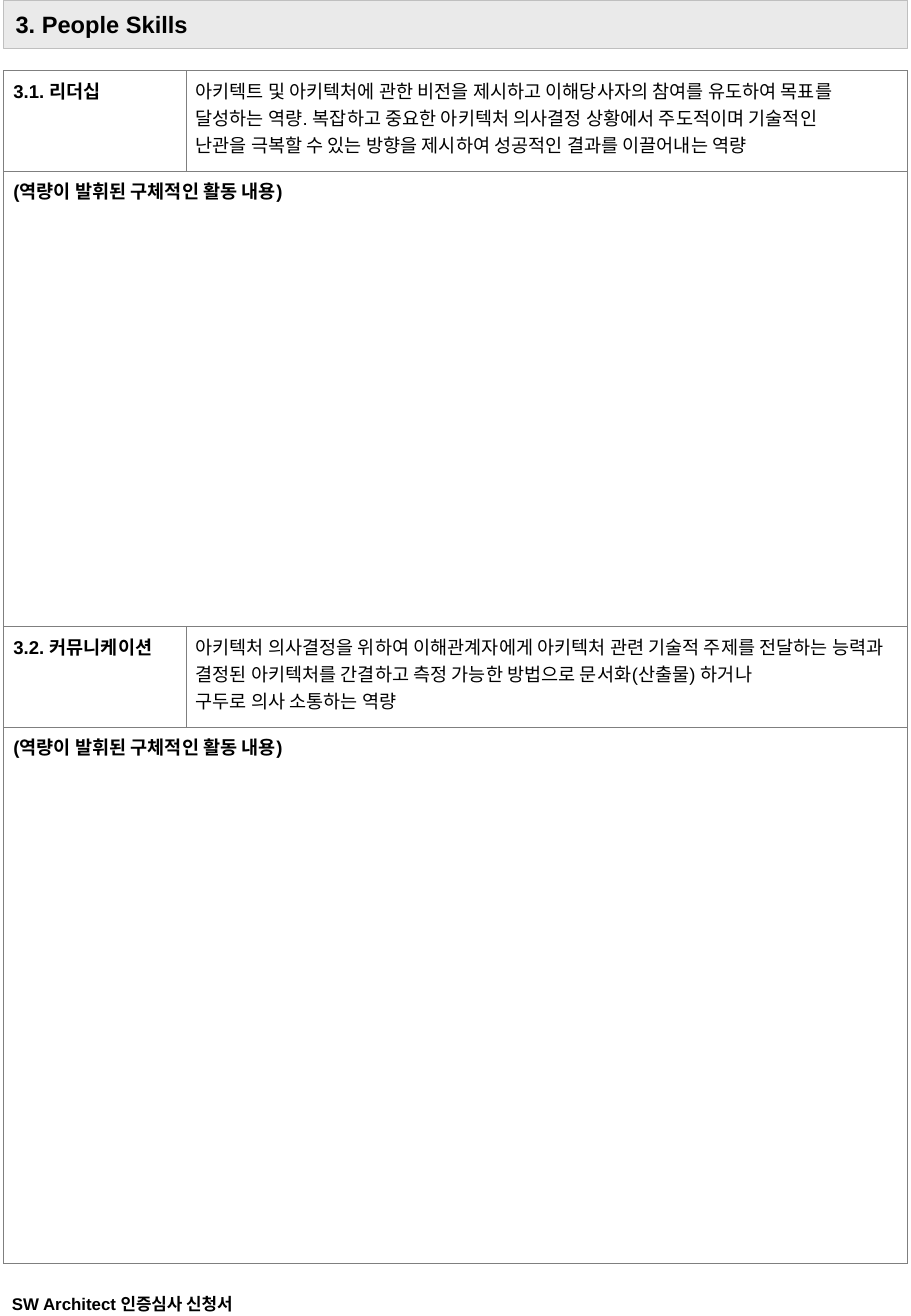
import pptx
import pptx.util
import pptx.dml.color
import pptx.enum.shapes
import pptx.enum.text
import pptx.oxml.ns
import lxml.etree

Inches = pptx.util.Inches
Pt = pptx.util.Pt
RGBColor = pptx.dml.color.RGBColor

BLACK = RGBColor(0x00, 0x00, 0x00)
PALE = RGBColor(0xEA, 0xEA, 0xEA)
SILVER = RGBColor(0xBF, 0xBF, 0xBF)
GRAY = RGBColor(0x7F, 0x7F, 0x7F)

FONT = "Arial"
LEFT, WIDTH = 0.03, 7.44
COLS = [1.5, 5.94]
ROWS = [0.83, 3.75, 0.83, 4.42]
PROMPT = "(역량이 발휘된 구체적인 활동 내용)"
SKILLS = [
    ("3.1. 리더십",
     "아키텍트 및 아키텍처에 관한 비전을 제시하고 이해당사자의 참여를 유도하여 목표를 "
     "달성하는 역량. 복잡하고 중요한 아키텍처 의사결정 상황에서 주도적이며 기술적인 \n"
     "난관을 극복할 수 있는 방향을 제시하여 성공적인 결과를 이끌어내는 역량"),
    ("3.2. 커뮤니케이션",
     "아키텍처 의사결정을 위하여 이해관계자에게 아키텍처 관련 기술적 주제를 전달하는 능력과 "
     "결정된 아키텍처를 간결하고 측정 가능한 방법으로 문서화(산출물) 하거나 \n"
     "구두로 의사 소통하는 역량"),
]


def write(frame, text, size, bold=True):
    frame.word_wrap = True
    par = frame.paragraphs[0]
    par.text = text
    par.alignment = pptx.enum.text.PP_ALIGN.LEFT
    par.font.name = FONT
    par.font.size = Pt(size)
    par.font.bold = bold
    par.font.color.rgb = BLACK
    return par


def add_title(slide, text):
    bar = slide.shapes.add_shape(
        pptx.enum.shapes.MSO_SHAPE.RECTANGLE,
        Inches(LEFT), Inches(0), Inches(WIDTH), Inches(0.4))
    bar.shadow.inherit = False
    bar.fill.solid()
    bar.fill.fore_color.rgb = PALE
    bar.line.color.rgb = SILVER
    bar.line.width = Pt(0.75)
    bar.text_frame.vertical_anchor = pptx.enum.text.MSO_ANCHOR.MIDDLE
    write(bar.text_frame, text, 14)


def add_footer(slide, text):
    box = slide.shapes.add_textbox(
        Inches(0), Inches(10.61), Inches(2.38), Inches(0.22))
    write(box.text_frame, text, 10)


def style_cell(cell):
    cell.margin_left = cell.margin_right = Inches(0.08)
    cell.margin_top = cell.margin_bottom = Inches(0.05)
    cell.fill.background()
    # Borders come before the fill in the cell properties
    props = cell._tc.get_or_add_tcPr()
    qn = pptx.oxml.ns.qn
    for i, side in enumerate("LRTB"):
        line = lxml.etree.Element(qn(f"a:ln{side}"), w=str(Pt(0.34)))
        fill = lxml.etree.SubElement(line, qn("a:solidFill"))
        lxml.etree.SubElement(fill, qn("a:srgbClr"), val=str(GRAY))
        props.insert(i, line)


def add_label(cell, text):
    write(cell.text_frame, text, 11).space_before = Pt(2.8)


def add_skills(slide):
    table = slide.shapes.add_table(
        len(ROWS), len(COLS), Inches(LEFT), Inches(0.58),
        Inches(WIDTH), Inches(sum(ROWS))).table
    table.first_row = table.horz_banding = False
    for col, width in zip(table.columns, COLS):
        col.width = Inches(width)
    for row, height in zip(table.rows, ROWS):
        row.height = Inches(height)
    for cell in table.iter_cells():
        style_cell(cell)

    # Each skill has a heading row and a merged answer row
    for i, (name, about) in enumerate(SKILLS):
        top = 2 * i
        add_label(table.cell(top, 0), name)
        par = write(table.cell(top, 1).text_frame, about, 11, False)
        par.line_spacing = Pt(16)
        answer = table.cell(top + 1, 0)
        answer.merge(table.cell(top + 1, 1))
        add_label(answer, PROMPT)


def main():
    deck = pptx.Presentation()
    deck.slide_width = Inches(7.5)
    deck.slide_height = Inches(10.84)
    slide = deck.slides.add_slide(deck.slide_layouts[6])
    add_footer(slide, "SW Architect 인증심사 신청서")
    add_title(slide, "3. People Skills")
    add_skills(slide)
    deck.save("out.pptx")


if __name__ == "__main__":
    main()
